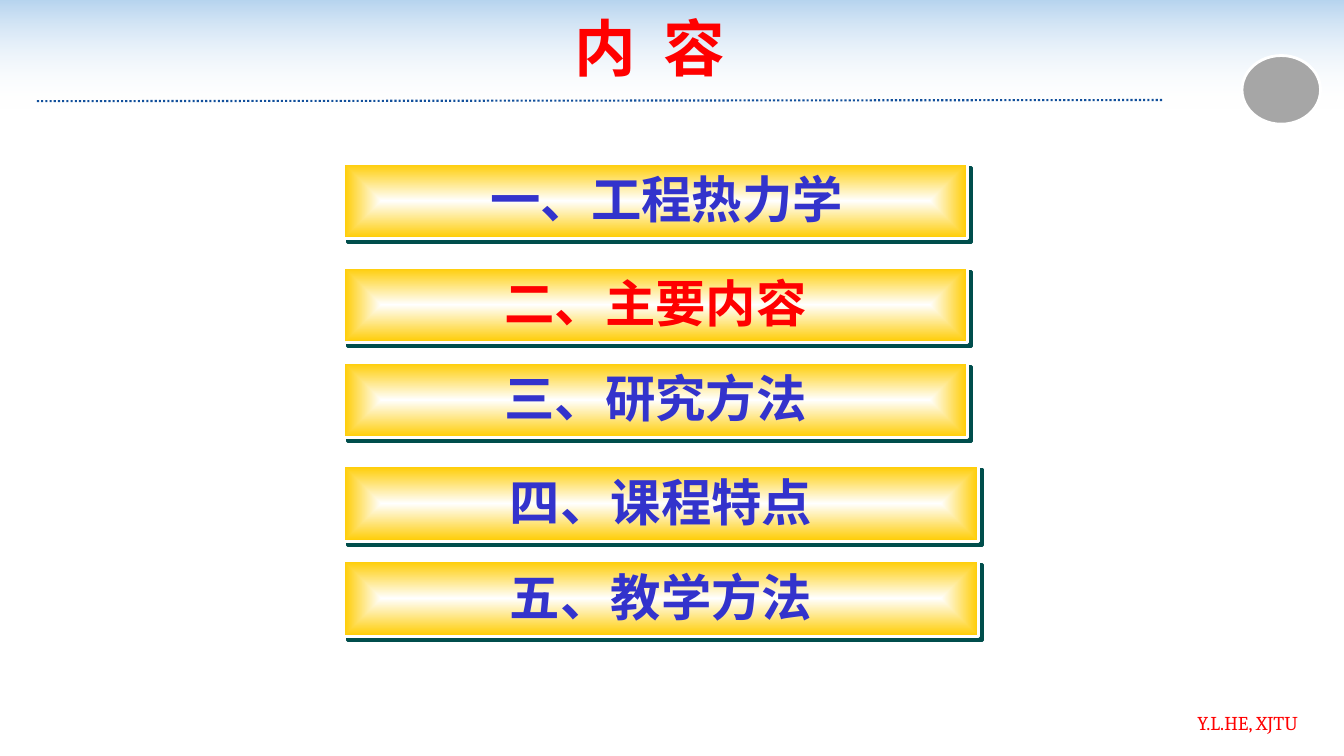
from lxml.etree import SubElement
from pptx import Presentation
from pptx.dml.color import RGBColor
from pptx.enum.dml import MSO_LINE_DASH_STYLE as Dash
from pptx.enum.shapes import MSO_CONNECTOR as Connector, MSO_SHAPE as Shape
from pptx.enum.text import MSO_ANCHOR as Anchor, PP_ALIGN as Align
from pptx.oxml import parse_xml
from pptx.oxml.ns import nsdecls, qn
from pptx.util import Cm, Pt

RED = RGBColor(0xFF, 0x00, 0x00)
INDIGO = RGBColor(0x33, 0x33, 0xCC)
WHITE = RGBColor(0xFF, 0xFF, 0xFF)
GOLD = RGBColor(0xFF, 0xCC, 0x00)
SKY = RGBColor(0x47, 0x92, 0xD7)
NAVY = RGBColor(0x11, 0x4F, 0x9B)
GREY = RGBColor(0xA6, 0xA6, 0xA6)
TEAL = RGBColor(0x00, 0x4E, 0x4C)

LATIN_FONT = "Cambria"
CHINESE_FONT = "Noto Sans CJK SC"
FROM_TOP = '<a:lin ang="5400000" scaled="0"/>'
FROM_CENTRE = ('<a:path path="rect"><a:fillToRect l="50000" t="50000" '
               'r="50000" b="50000"/></a:path>')


def write_text(shape, text, size, color, font=LATIN_FONT, bold=False,
               align=Align.CENTER, spacing=0, margins=(0.25, 0.13, 0.25, 0.13)):
    frame = shape.text_frame
    frame.word_wrap = True
    frame.vertical_anchor = Anchor.MIDDLE
    (frame.margin_left, frame.margin_top,
     frame.margin_right, frame.margin_bottom) = map(Cm, margins)
    paragraph = frame.paragraphs[0]
    paragraph.alignment = align
    run = paragraph.add_run()
    run.text = text
    run.font.size = Pt(size)
    run.font.bold = bold
    run.font.color.rgb = color
    run.font.name = font
    properties = run.font._element
    SubElement(properties, qn("a:ea")).set("typeface", CHINESE_FONT)
    if spacing:
        properties.set("spc", str(round(spacing * 100)))


class ContentsSlide:
    """Holds the slide and draws its elements in one style."""

    def __init__(self, presentation):
        self.slide = presentation.slides.add_slide(presentation.slide_layouts[6])
        self.shapes = self.slide.shapes

    def label(self, box, text, **style):
        write_text(self.shapes.add_textbox(*map(Cm, box)), text, **style)

    def shape(self, kind, box, fill=None, line=None, width=1):
        shape = self.shapes.add_shape(kind, *map(Cm, box))
        shape.shadow.inherit = False
        if fill is None:
            shape.fill.background()
        else:
            shape.fill.solid()
            shape.fill.fore_color.rgb = fill
        if line is None:
            shape.line.fill.background()
        else:
            shape.line.color.rgb = line
            shape.line.width = Pt(width)
        return shape

    def gradient(self, shape, stops, direction):
        colors = "".join(
            f'<a:gs pos="{position * 1000}"><a:srgbClr val="{color}">'
            f'<a:alpha val="{opacity * 1000}"/></a:srgbClr></a:gs>'
            for position, color, opacity in stops)
        fill = parse_xml(f'<a:gradFill {nsdecls("a")} rotWithShape="1">'
                         f'<a:gsLst>{colors}</a:gsLst>{direction}</a:gradFill>')
        properties = shape._element.spPr
        properties.replace(properties.find(qn("a:noFill")), fill)

    def rule(self, start, end):
        line = self.shapes.add_connector(Connector.STRAIGHT, *map(Cm, start + end))
        line.line.color.rgb = NAVY
        line.line.width = Pt(1.5)
        line.line.dash_style = Dash.ROUND_DOT
        SubElement(line._element.spPr, qn("a:effectLst"))

    def bar(self, top, width, text, color, indent):
        bar = self.shape(Shape.RECTANGLE, (8.66, top, width, 1.9),
                         line=WHITE, width=2.25)
        self.gradient(bar, [(0, WHITE, 100), (100, GOLD, 100)], FROM_CENTRE)
        effects = bar._element.spPr.find(qn("a:effectLst"))
        effects.append(parse_xml(
            f'<a:outerShdw {nsdecls("a")} blurRad="0" dist="{Pt(4.2)}" '
            f'dir="2700000" algn="ctr" rotWithShape="0">'
            f'<a:srgbClr val="{TEAL}"/></a:outerShdw>'))
        write_text(bar, text, 36, color, font=CHINESE_FONT, bold=True,
                   margins=(0.25 + indent, 0.13, 0.25, 0.25))


def main():
    presentation = Presentation()
    presentation.slide_width = Cm(33.87)
    presentation.slide_height = Cm(19.05)
    contents = ContentsSlide(presentation)

    contents.label((27.94, 17.78, 5.05, 0.86), "Y.L.HE, XJTU", size=14,
                   color=RED, align=Align.RIGHT, margins=(0.28, 0.15, 0.28, 0.15))
    header = contents.shape(Shape.RECTANGLE, (0, 0, 33.87, 2.74))
    contents.gradient(header, [(0, SKY, 40), (100, WHITE, 0)], FROM_TOP)
    contents.rule((0.93, 2.55), (29.29, 2.52))
    contents.shape(Shape.OVAL, (31.3, 1.4, 1.98, 1.73), GREY, WHITE, 2)
    contents.label((2, 0.23, 28.78, 1.9), "内 容", size=44, color=RED,
                   bold=True, spacing=4.8)

    for top, width, text, color, indent in (
            (4.11, 15.72, "一、工程热力学", INDIGO, 0.56),
            (6.73, 15.72, "二、主要内容", RED, 0),
            (9.13, 15.72, "三、研究方法", INDIGO, 0),
            (11.74, 16, "四、课程特点", INDIGO, 0),
            (14.13, 16, "五、教学方法", INDIGO, 0)):
        contents.bar(top, width, text, color, indent)

    presentation.save("out.pptx")


if __name__ == "__main__":
    main()
